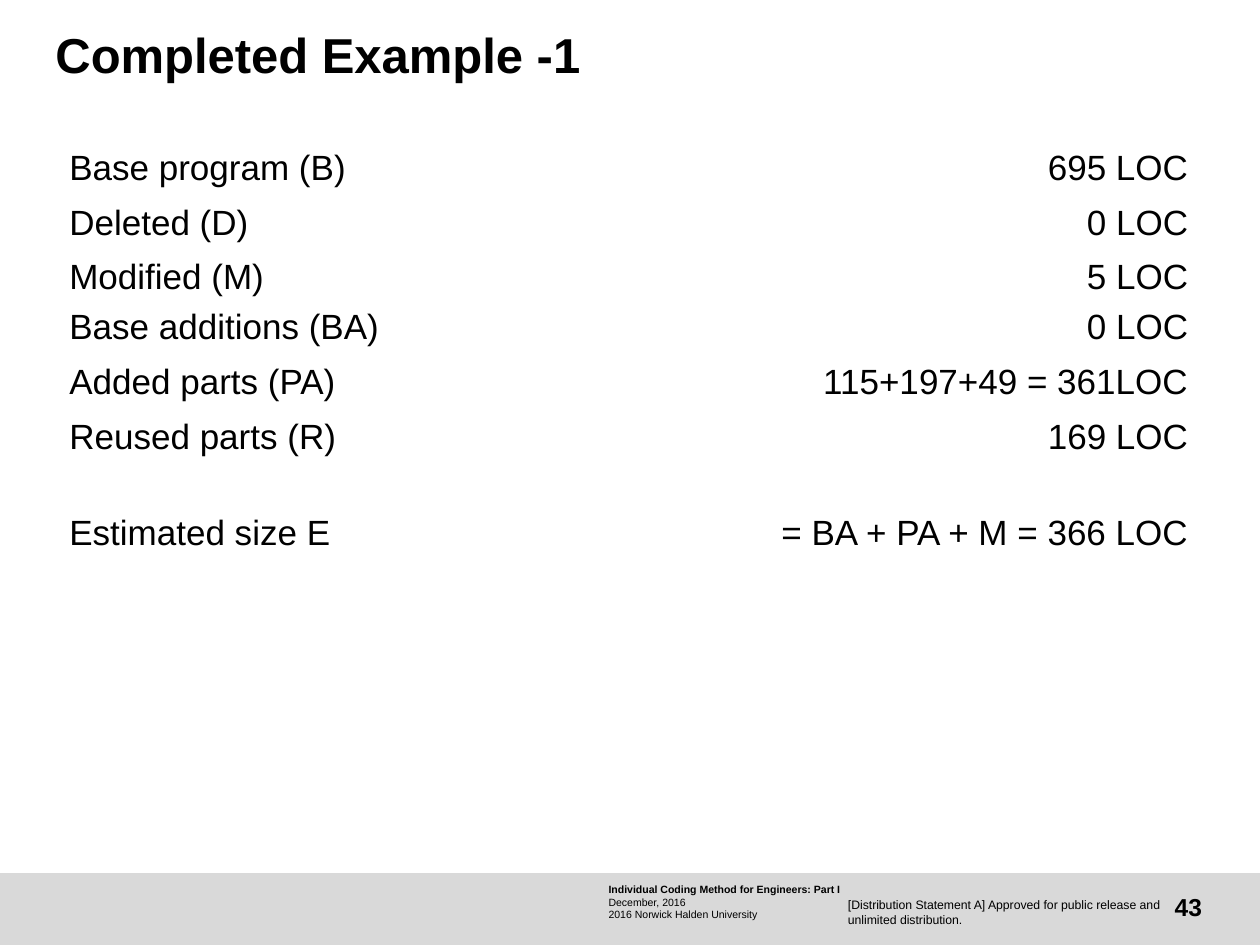
from dataclasses import dataclass

from pptx import Presentation
from pptx.dml.color import RGBColor
from pptx.enum.shapes import MSO_SHAPE
from pptx.enum.text import MSO_ANCHOR as Anchor, PP_ALIGN as Align
from pptx.slide import Slide
from pptx.util import Inches, Pt

FONT = "Arial"
BLACK = "000000"
FOOTER_GRAY = "D9D9D9"
CELL_INDENT = 0.11
COLUMN_WIDTHS = (3.98, 5.12)


@dataclass
class Line:
    text: str
    size: float
    bold: bool = False
    align: Align = Align.LEFT
    spacing: float = 1.0


@dataclass
class TextBlock:
    left: float
    top: float
    width: float
    height: float
    lines: list[Line]
    anchor: Anchor = Anchor.TOP
    right_inset: float = 0


@dataclass
class SizeRow:
    height: float
    label: str = ""
    value: str = ""


TEXT_BLOCKS = [
    TextBlock(4.83, 7.01, 2.21, 0.3, [
        Line("Individual Coding Method for Engineers: Part I", 6, bold=True),
        Line("December, 2016", 6),
        Line("2016 Norwick Halden University", 6),
    ], right_inset=0.05),
    TextBlock(8.98, 7, 0.56, 0.4, [Line("43", 14, bold=True, align=Align.RIGHT)],
              anchor=Anchor.MIDDLE),
    TextBlock(6.73, 7.12, 2.54, 0.24, [
        Line("[Distribution Statement A] Approved for public release and "
             "unlimited distribution.", 7),
    ]),
    TextBlock(0.44, 0.25, 8.31, 0.73,
              [Line("Completed Example -1", 28, bold=True, spacing=0.9)]),
]

SIZE_ROWS = [
    SizeRow(0.44, "Base program (B)", "695 LOC"),
    SizeRow(0.43, "Deleted (D)", "0 LOC"),
    SizeRow(0.39, "Modified (M)", "5 LOC"),
    SizeRow(0.44, "Base additions (BA)", "0 LOC"),
    SizeRow(0.44, "Added parts (PA)", "115+197+49 = 361LOC"),
    SizeRow(0.43, "Reused parts (R)", "169 LOC"),
    SizeRow(0.33),
    SizeRow(0.4, "Estimated size E", "= BA + PA + M = 366 LOC"),
]


def color(value: str) -> RGBColor:
    return RGBColor.from_string(value)


def write_line(paragraph, line: Line) -> None:
    paragraph.alignment = line.align
    paragraph.line_spacing = line.spacing
    run = paragraph.add_run()
    run.text = line.text
    run.font.name = FONT
    run.font.size = Pt(line.size)
    run.font.bold = line.bold
    run.font.color.rgb = color(BLACK)


def add_footer_band(slide: Slide) -> None:
    band = slide.shapes.add_shape(
        MSO_SHAPE.RECTANGLE, Inches(0), Inches(6.93), Inches(10), Inches(0.57))
    band.shadow.inherit = False
    band.fill.solid()
    band.fill.fore_color.rgb = color(FOOTER_GRAY)
    band.line.fill.background()


def add_text_block(slide: Slide, block: TextBlock) -> None:
    shape = slide.shapes.add_textbox(
        Inches(block.left), Inches(block.top), Inches(block.width), Inches(block.height))
    frame = shape.text_frame
    frame.word_wrap = True
    frame.vertical_anchor = block.anchor
    frame.margin_left = frame.margin_top = frame.margin_bottom = 0
    frame.margin_right = Inches(block.right_inset)
    for index, line in enumerate(block.lines):
        paragraph = frame.add_paragraph() if index else frame.paragraphs[0]
        write_line(paragraph, line)


def fill_cell(cell, text: str, align: Align) -> None:
    on_right = align == Align.RIGHT
    cell.fill.background()
    cell.margin_top = cell.margin_bottom = 0
    cell.margin_left = Inches(0 if on_right else CELL_INDENT)
    cell.margin_right = Inches(CELL_INDENT if on_right else 0)
    if text:
        write_line(cell.text_frame.paragraphs[0], Line(text, 20, align=align))


def add_size_table(slide: Slide, rows: list[SizeRow]) -> None:
    height = sum(row.height for row in rows)
    table = slide.shapes.add_table(
        len(rows), len(COLUMN_WIDTHS), Inches(0.44), Inches(1.18),
        Inches(sum(COLUMN_WIDTHS)), Inches(height)).table
    table.first_row = table.horz_banding = False
    for column, width in zip(table.columns, COLUMN_WIDTHS):
        column.width = Inches(width)
    for index, row in enumerate(rows):
        table.rows[index].height = Inches(row.height)
        fill_cell(table.cell(index, 0), row.label, Align.LEFT)
        fill_cell(table.cell(index, 1), row.value, Align.RIGHT)


def main() -> None:
    presentation = Presentation()
    presentation.slide_width = Inches(10)
    presentation.slide_height = Inches(7.5)
    slide = presentation.slides.add_slide(presentation.slide_layouts[6])
    add_footer_band(slide)
    for block in TEXT_BLOCKS:
        add_text_block(slide, block)
    add_size_table(slide, SIZE_ROWS)
    presentation.save("out.pptx")


if __name__ == "__main__":
    main()
